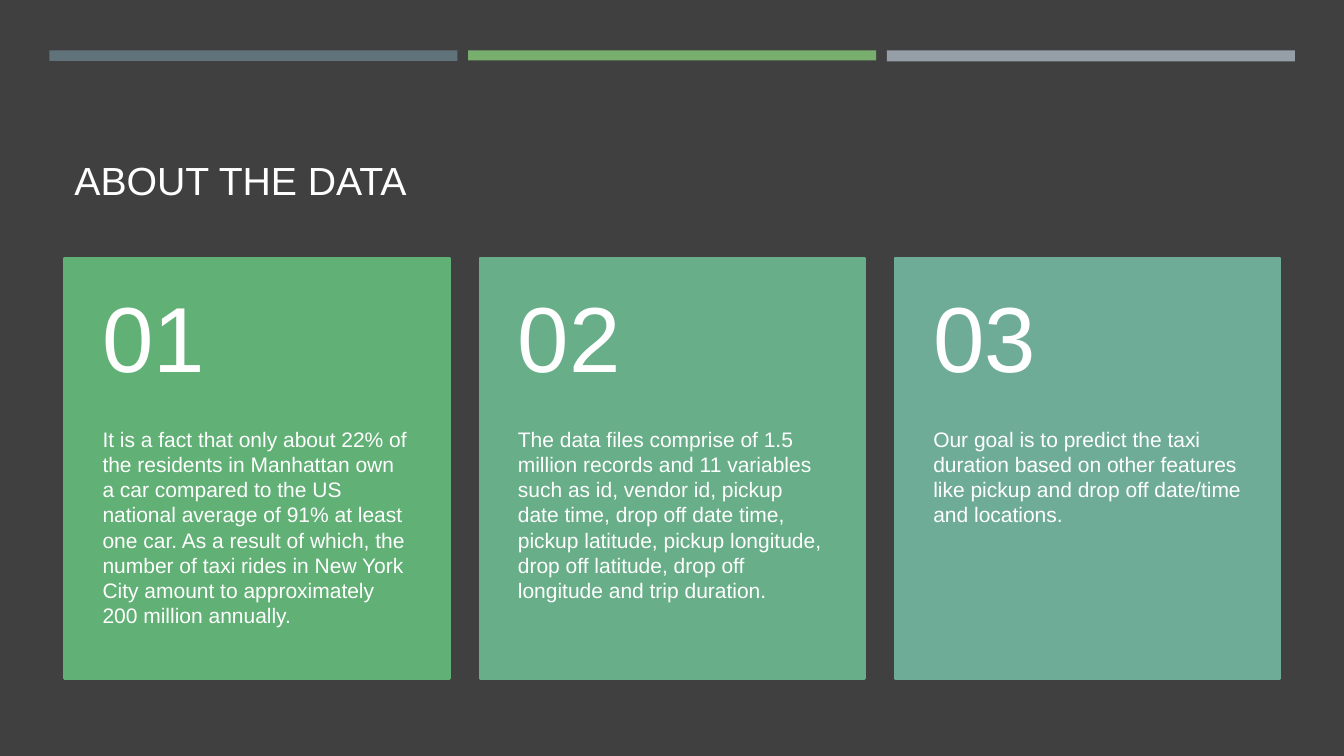
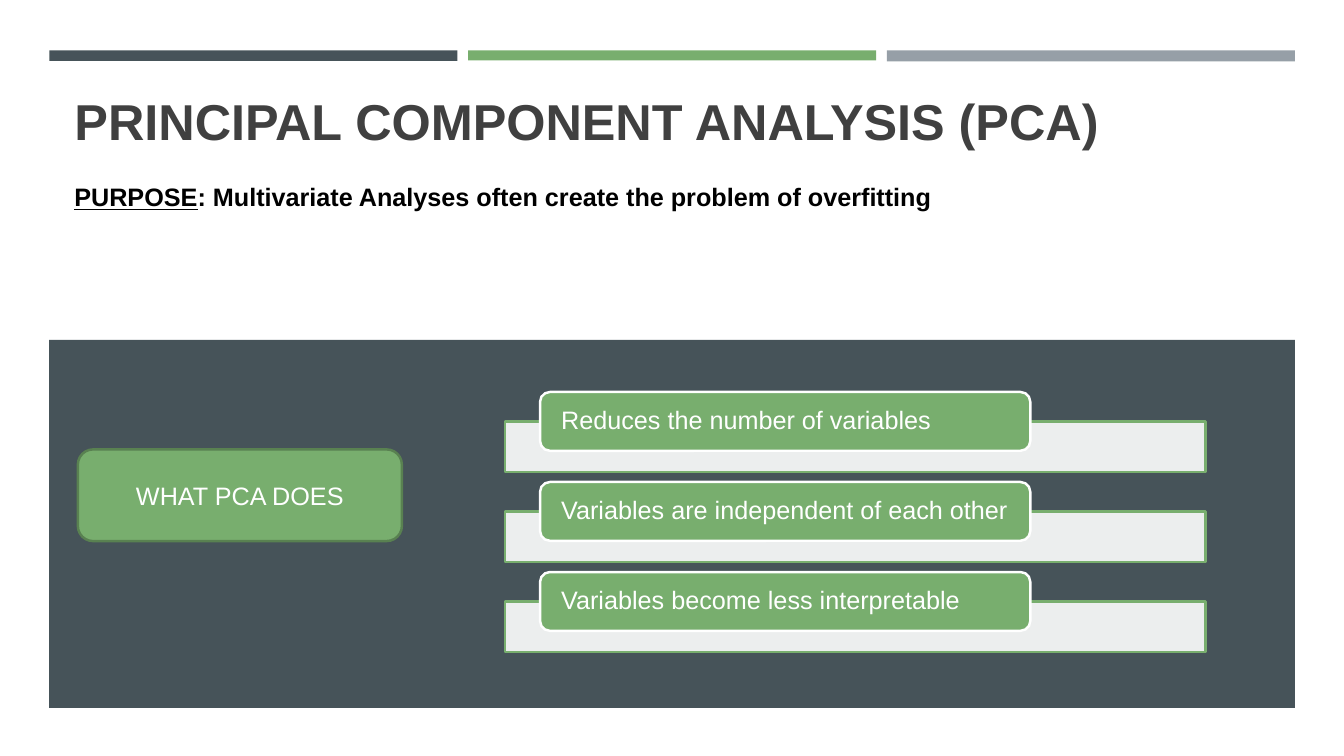
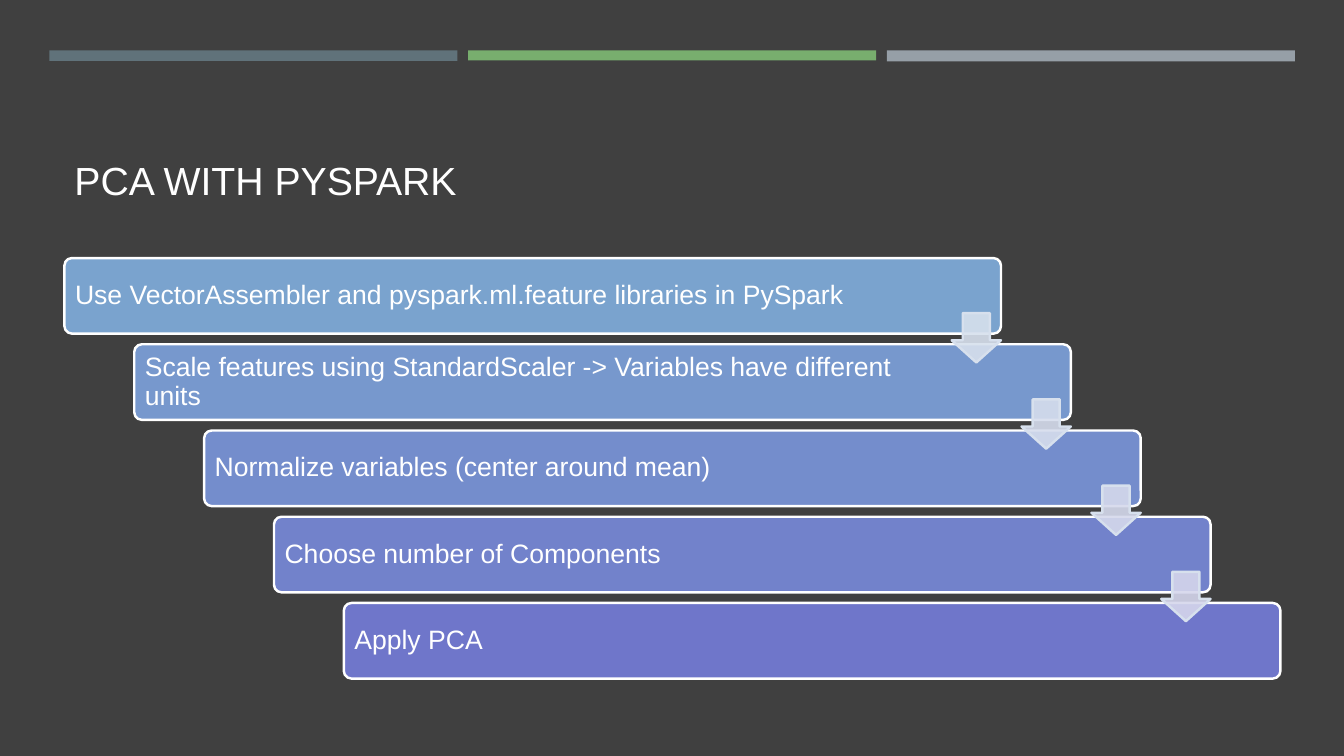
"""Build three slides on taxi trip data and principal component analysis."""
from pptx import Presentation
from pptx.dml.color import RGBColor
from pptx.enum.shapes import MSO_SHAPE
from pptx.enum.text import MSO_ANCHOR, MSO_AUTO_SIZE, PP_ALIGN
from pptx.oxml.ns import qn
from pptx.util import Pt
from lxml import etree

RECT = MSO_SHAPE.RECTANGLE
ROUND = MSO_SHAPE.ROUNDED_RECTANGLE
ARROW = MSO_SHAPE.DOWN_ARROW
TOP, MIDDLE, BOTTOM = MSO_ANCHOR.TOP, MSO_ANCHOR.MIDDLE, MSO_ANCHOR.BOTTOM
LEFT, CENTER = PP_ALIGN.LEFT, PP_ALIGN.CENTER

FONT = "Arial"
WHITE = RGBColor(0xFF, 0xFF, 0xFF)
BLACK = RGBColor(0x00, 0x00, 0x00)
CHARCOAL = RGBColor(0x40, 0x40, 0x40)
SLATE = RGBColor(0x46, 0x53, 0x59)
STEEL = RGBColor(0x60, 0x72, 0x7A)
GREEN = RGBColor(0x78, 0xAE, 0x6E)
DARK_GREEN = RGBColor(0x59, 0x81, 0x51)
GRAY = RGBColor(0x96, 0x9F, 0xA7)
PALE_BLUE = RGBColor(0xD7, 0xE0, 0xED)
CARD_1 = RGBColor(0x61, 0xB0, 0x75)
CARD_2 = RGBColor(0x68, 0xAE, 0x88)
CARD_3 = RGBColor(0x6F, 0xAC, 0x98)
STEP_1 = RGBColor(0x7A, 0xA3, 0xCE)
STEP_2 = RGBColor(0x77, 0x98, 0xCD)
STEP_3 = RGBColor(0x74, 0x8D, 0xCC)
STEP_4 = RGBColor(0x72, 0x82, 0xCB)
STEP_5 = RGBColor(0x6F, 0x76, 0xCA)
ARROW_2 = RGBColor(0xD6, 0xDD, 0xED)
ARROW_3 = RGBColor(0xD5, 0xD9, 0xEC)
ARROW_4 = RGBColor(0xD5, 0xD6, 0xEC)


def write(sp, text, size=18, color=WHITE, bold=False, underline=False,
          align=LEFT, anchor=TOP, spacing=1.0, insets=(7.2, 3.6, 7.2, 3.6)):
    """Append a formatted run to the first paragraph of a shape."""
    tf = sp.text_frame
    tf.word_wrap = True
    tf.auto_size = MSO_AUTO_SIZE.NONE
    tf.vertical_anchor = anchor
    tf.margin_left, tf.margin_top, tf.margin_right, tf.margin_bottom = map(Pt, insets)
    p = tf.paragraphs[0]
    p.alignment = align
    p.line_spacing = spacing
    r = p.add_run()
    r.text = text
    r.font.name = FONT
    r.font.size = Pt(size)
    r.font.color.rgb = color
    r.font.bold = bold
    r.font.underline = underline


def add_box(s, kind, x, y, w, h, fill, line=None, alpha=None):
    """Add a flat filled shape, with an outline and transparency if given."""
    sp = s.shapes.add_shape(kind, Pt(x), Pt(y), Pt(w), Pt(h))
    sp.shadow.inherit = False
    sp.fill.solid()
    sp.fill.fore_color.rgb = fill
    if alpha:
        clr = sp._element.spPr.find(qn("a:solidFill")).find(qn("a:srgbClr"))
        etree.SubElement(clr, qn("a:alpha")).set("val", str(alpha * 1000))
    if line is None:
        sp.line.fill.background()
    else:
        sp.line.color.rgb = line
        sp.line.width = Pt(1.75)
    return sp


prs = Presentation()
prs.slide_width, prs.slide_height = Pt(960), Pt(540)

wide_title = (46, 55.4, 868.3, 93.6)
slides = []
for title, place, size, bold, color, back, first_bar in [
    ("ABOUT THE DATA", wide_title, 28, False, WHITE, CHARCOAL, STEEL),
    ("PRINCIPAL COMPONENT ANALYSIS (PCA)", (46, 53.3, 761, 58.3), 36, True,
     CHARCOAL, WHITE, SLATE),
    ("PCA WITH PYSPARK", wide_title, 28, False, WHITE, CHARCOAL, STEEL),
]:
    s = prs.slides.add_slide(prs.slide_layouts[5])
    s.background.fill.solid()
    s.background.fill.fore_color.rgb = back
    sp = s.shapes.title
    sp.left, sp.top, sp.width, sp.height = map(Pt, place)
    write(sp, title, size=size, color=color, bold=bold, anchor=BOTTOM, spacing=0.9)
    for i, (fill, h) in enumerate([(first_bar, 7.5), (GREEN, 7.2), (GRAY, 7.9)]):
        add_box(s, RECT, 35.2 + i * 299.1, 36, 291.6, h, fill)
    slides.append(s)
data, pca, pyspark = slides

for i, (fill, text) in enumerate([
    (CARD_1, "It is a fact that only about 22% of the residents in Manhattan own a car "
             "compared to the US national average of 91% at least one car. As a result of "
             "which, the number of taxi rides in New York City amount to approximately "
             "200 million annually."),
    (CARD_2, "The data files comprise of 1.5 million records and 11 variables such as id, "
             "vendor id, pickup date time, drop off date time, pickup latitude, pickup "
             "longitude, drop off latitude, drop off longitude and trip duration."),
    (CARD_3, "Our goal is to predict the taxi duration based on other features like pickup "
             "and drop off date/time and locations."),
]):
    x, w = 46 + i * 296.7, 275
    add_box(data, RECT, x, 184.3, w, 300.4, fill, line=fill)
    sp = data.shapes.add_textbox(Pt(x), Pt(304.5), Pt(w), Pt(180.2))
    write(sp, text, size=15, insets=(27.2, 0, 27.2, 26))
    sp = data.shapes.add_textbox(Pt(x), Pt(184.3), Pt(w), Pt(120.2))
    write(sp, f"{i + 1:02}", size=66, anchor=MIDDLE, spacing=0.9,
          insets=(27.2, 13, 27.2, 13))

add_box(pca, RECT, 35.2, 242.8, 889.8, 262.9, SLATE)
sp = pca.shapes.add_textbox(Pt(46), Pt(126), Pt(862), Pt(29))
write(sp, "PURPOSE", color=BLACK, bold=True, underline=True)
write(sp, ": Multivariate Analyses often create the problem of overfitting",
      color=BLACK, bold=True)
for i, text in enumerate([
    "Reduces the number of variables",
    "Variables are independent of each other",
    "Variables become less interpretable",
]):
    y = 280 + i * 64.3
    add_box(pca, RECT, 360.7, y + 21, 500.5, 36, WHITE, line=GREEN, alpha=90)
    sp = add_box(pca, ROUND, 385.8, y, 350.2, 42, GREEN, line=WHITE)
    write(sp, text, anchor=MIDDLE, spacing=0.9, insets=(13, 0, 13, 0))
sp = add_box(pca, ROUND, 55.6, 321, 231.5, 65.5, GREEN, line=DARK_GREEN)
write(sp, "WHAT PCA DOES", align=CENTER, anchor=MIDDLE)

step_x, step_y, step_w = 46, 184.3, 669
dx, dy = 49.9, 61.6
for i, (fill, text) in enumerate([
    (STEP_1, "Use VectorAssembler and pyspark.ml.feature libraries in PySpark"),
    (STEP_2, "Scale features using StandardScaler -> Variables have different units"),
    (STEP_3, "Normalize variables (center around mean)"),
    (STEP_4, "Choose number of Components"),
    (STEP_5, "Apply PCA"),
]):
    sp = add_box(pyspark, ROUND, step_x + i * dx, step_y + i * dy, step_w, 54, fill, line=WHITE)
    sp.adjustments[0] = 0.1
    write(sp, text, size=19, anchor=MIDDLE, spacing=0.9, insets=(6, 6, 92, 6))
for i, fill in enumerate([PALE_BLUE, ARROW_2, ARROW_3, ARROW_4]):
    sp = add_box(pyspark, ARROW, step_x + i * dx + step_w - 35.2, step_y + i * dy + 39.4,
                 35.2, 35.2, fill, line=PALE_BLUE, alpha=90)
    sp.adjustments[0], sp.adjustments[1] = 0.55, 0.45

prs.save("out.pptx")
